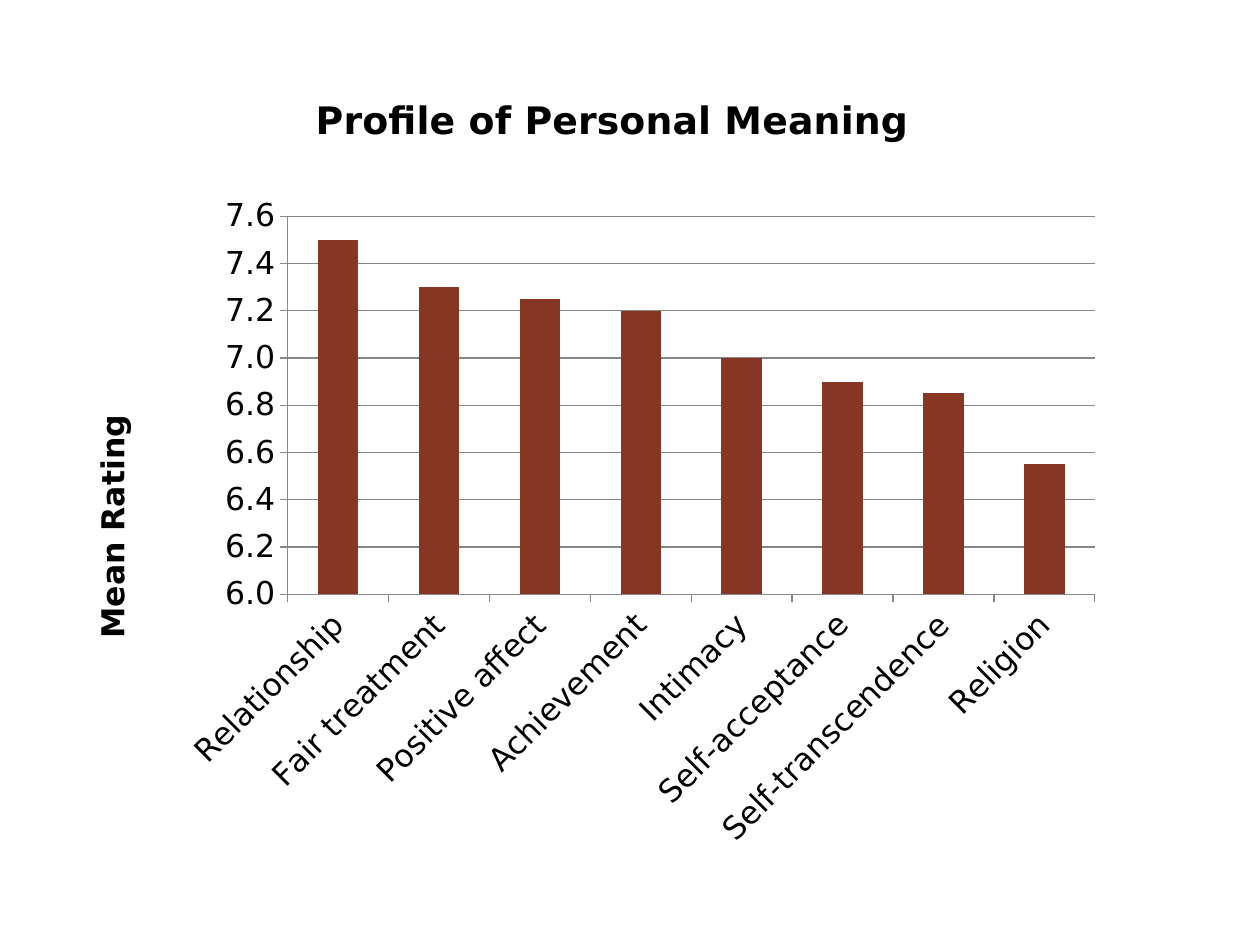
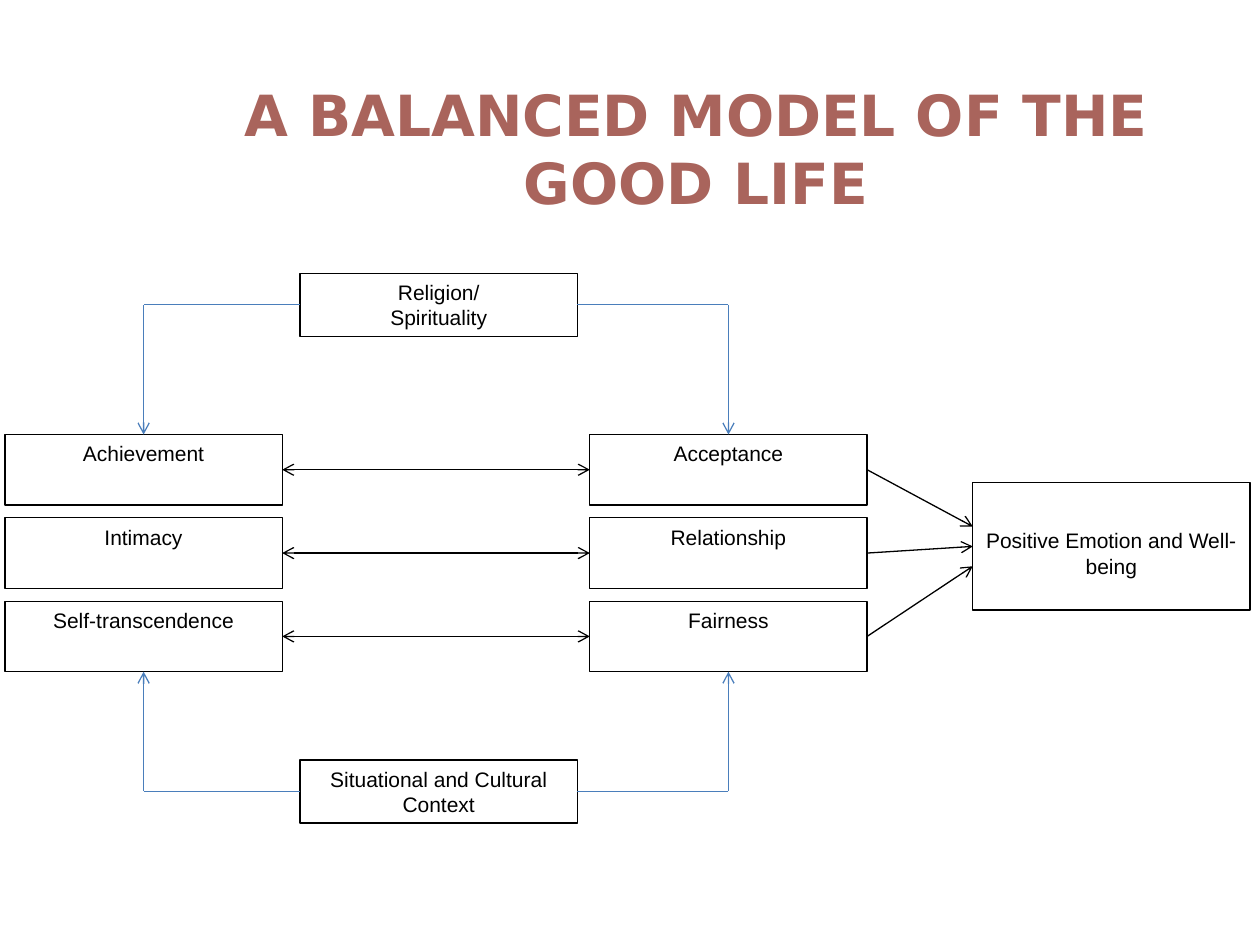
"""Build two slides: a chart of personal meaning and a model of the good life."""
from dataclasses import dataclass

from lxml.etree import SubElement
from pptx import Presentation
from pptx.chart.data import CategoryChartData
from pptx.dml.color import RGBColor as Rgb
from pptx.enum.chart import XL_CHART_TYPE as ChartType, XL_TICK_MARK as Tick
from pptx.enum.shapes import MSO_CONNECTOR as Connector, MSO_SHAPE as Shape
from pptx.enum.text import MSO_ANCHOR as Anchor, MSO_AUTO_SIZE as AutoSize, PP_ALIGN as Align
from pptx.oxml.ns import qn
from pptx.util import Cm, Pt


@dataclass(frozen=True)
class Theme:
    """Colours, typefaces and type sizes."""
    ink: Rgb = Rgb.from_string("000000")
    paper: Rgb = Rgb.from_string("FFFFFF")
    heading: Rgb = Rgb.from_string("A9645C")
    bar: Rgb = Rgb.from_string("873624")
    grid: Rgb = Rgb.from_string("878787")
    influence: Rgb = Rgb.from_string("4A7EBB")
    display_font: str = "DejaVu Sans"
    body_font: str = "Arial"
    heading_size: float = 32.4
    chart_title_size: float = 21.6
    chart_size: float = 18
    body_size: float = 12
    rule: float = 0.75


@dataclass(frozen=True)
class Box:
    """A rectangle in centimetres."""
    left: float
    top: float
    width: float
    height: float

    @property
    def right(self):
        """Return the right edge."""
        return self.left + self.width

    @property
    def bottom(self):
        """Return the bottom edge."""
        return self.top + self.height

    @property
    def center(self):
        """Return the horizontal centre."""
        return self.left + self.width / 2

    @property
    def middle(self):
        """Return the vertical centre."""
        return self.top + self.height / 2

    def lengths(self):
        """Return left, top, width and height as slide lengths."""
        return [Cm(n) for n in (self.left, self.top, self.width, self.height)]


class Deck:
    """Hold the style and the current slide."""

    def __init__(self, theme):
        """Start an empty presentation."""
        self.theme = theme
        self.presentation = Presentation()
        self.presentation.slide_width = Cm(25.4)
        self.presentation.slide_height = Cm(19.05)
        self.slide = None

    def add_slide(self, layout):
        """Add a slide with the named layout and make it current."""
        layouts = self.presentation.slide_layouts
        self.slide = self.presentation.slides.add_slide(layouts.get_by_name(layout))

    def style(self, font, size, color=None, name=None, bold=False):
        """Format a font."""
        font.name = name or self.theme.body_font
        font.size = Pt(size)
        font.bold = bold
        font.color.rgb = color or self.theme.ink

    def set_text(self, frame, text, *style, **options):
        """Fill a text frame with centred, styled text."""
        frame.text = text
        frame.word_wrap = True
        for paragraph in frame.paragraphs:
            paragraph.alignment = Align.CENTER
            for run in paragraph.runs:
                self.style(run.font, *style, **options)

    def title(self, text, box):
        """Place and format the slide title."""
        heading = self.slide.shapes.title
        heading.left, heading.top, heading.width, heading.height = box.lengths()
        frame = heading.text_frame
        self.set_text(frame, text, self.theme.heading_size, self.theme.heading,
                      self.theme.display_font, bold=True)
        frame.auto_size = AutoSize.NONE
        frame.vertical_anchor = Anchor.MIDDLE

    def concept(self, text, box, anchor=Anchor.MIDDLE, inset=0.13):
        """Draw an outlined box with a centred label."""
        panel = self.slide.shapes.add_shape(Shape.RECTANGLE, *box.lengths())
        panel.shadow.inherit = False
        panel.fill.solid()
        panel.fill.fore_color.rgb = self.theme.paper
        panel.line.color.rgb = self.theme.ink
        panel.line.width = Pt(self.theme.rule)
        frame = panel.text_frame
        self.set_text(frame, text, self.theme.body_size)
        frame.vertical_anchor = anchor
        frame.margin_top = Cm(inset)

    def line(self, start, end, color=None, ends=("tailEnd",)):
        """Draw a straight line with arrowheads at the given ends."""
        link = self.slide.shapes.add_connector(
            Connector.STRAIGHT, *(Cm(n) for n in (*start, *end)))
        link.line.color.rgb = color or self.theme.ink
        link.line.width = Pt(self.theme.rule)
        properties = link.element.spPr
        outline = properties.find(qn("a:ln"))
        for arrow in ends:
            SubElement(outline, qn(f"a:{arrow}"), type="arrow")
        SubElement(properties, qn("a:effectLst"))

    def elbow(self, start, end):
        """Draw a line sideways and then an arrow up or down."""
        corner = (end[0], start[1])
        self.line(start, corner, self.theme.influence, ends=())
        self.line(corner, end, self.theme.influence)

    def place(self, parent, index, **fractions):
        """Give a chart part a manual layout in fractions of the chart."""
        for old in parent.findall(qn("c:layout")):
            parent.remove(old)
        layout = parent.makeelement(qn("c:layout"))
        parent.insert(index, layout)
        manual = SubElement(layout, qn("c:manualLayout"))
        if "w" in fractions:
            SubElement(manual, qn("c:layoutTarget"), val="inner")
        for side in ("x", "y"):
            SubElement(manual, qn(f"c:{side}Mode"), val="edge")
        for name, value in fractions.items():
            SubElement(manual, qn(f"c:{name}"), val=str(value))

    def chart_title(self, frame, text, size):
        """Fill the title of a chart or an axis."""
        frame.text = text
        self.style(frame.paragraphs[0].runs[0].font, size,
                   name=self.theme.display_font, bold=True)

    def columns(self, title, axis_title, ratings, box):
        """Draw a column chart of mean ratings."""
        theme = self.theme
        data = CategoryChartData(number_format="General")
        data.categories = list(ratings)
        data.add_series("Series 1", list(ratings.values()))
        chart = self.slide.shapes.add_chart(
            ChartType.COLUMN_CLUSTERED, *box.lengths(), data).chart
        chart.has_legend = False
        self.style(chart.font, theme.chart_size, name=theme.display_font)
        plot = chart.plots[0]
        plot.gap_width = 150
        plot.vary_by_categories = False
        bars = plot.series[0].format.fill
        bars.solid()
        bars.fore_color.rgb = theme.bar

        scale, names = chart.value_axis, chart.category_axis
        scale.minimum_scale, scale.maximum_scale, scale.major_unit = 6, 7.6, 0.2
        scale.tick_labels.number_format = "#,##0.0"
        scale.tick_labels.number_format_is_linked = False
        for axis in (scale, names):
            axis.major_tick_mark = Tick.OUTSIDE
            self.style(axis.tick_labels.font, theme.chart_size, name=theme.display_font)
        for part in (scale, names, scale.major_gridlines):
            part.format.line.color.rgb = theme.grid
            part.format.line.width = Pt(theme.rule)

        self.chart_title(chart.chart_title.text_frame, title, theme.chart_title_size)
        self.chart_title(scale.axis_title.text_frame, axis_title, theme.chart_size)
        tree = chart.element
        for body, angle in ((".//c:catAx/c:txPr/a:bodyPr", -45),
                            (".//c:valAx/c:title//a:bodyPr", -90)):
            properties = tree.xpath(body)[0]
            properties.set("rot", str(angle * 60000))
            properties.set("vert", "horz")
        self.place(tree.xpath("c:chart/c:title")[0], 1, x=0.24, y=0.04)
        self.place(tree.xpath(".//c:valAx/c:title")[0], 1, x=0.03, y=0.44)
        self.place(tree.xpath(".//c:plotArea")[0], 0, x=0.22, y=0.2, w=0.76, h=0.47)


def build_profile(deck):
    """Build the chart slide."""
    deck.add_slide("Blank")
    ratings = {
        "Relationship": 7.5, "Fair treatment": 7.3, "Positive affect": 7.25,
        "Achievement": 7.2, "Intimacy": 7, "Self-acceptance": 6.9,
        "Self-transcendence": 6.85, "Religion": 6.55,
    }
    deck.columns("Profile of Personal Meaning", "Mean Rating", ratings,
                 Box(1.09, 1.12, 21.41, 16.21))


def build_model(deck):
    """Build the diagram slide."""
    deck.add_slide("Title Only")
    deck.title("A BALANCED MODEL OF THE\vGOOD LIFE", Box(2.67, 1.52, 22.73, 2.92))

    width = 5.59
    pairs = [("Achievement", "Acceptance"), ("Intimacy", "Relationship"),
             ("Self-transcendence", "Fairness")]
    rows = [[Box(left, 8.76 + 1.68 * row, width, 1.42) for left in (0.1, 11.89)]
            for row in range(len(pairs))]
    religion = Box(6.05, 5.51, width, 1.27)
    context = Box(6.05, 15.32, width, 1.27)
    outcome = Box(19.61, 9.73, width, 2.57)

    deck.concept("Religion/\nSpirituality", religion)
    deck.concept("Situational and Cultural Context", context)
    deck.concept("Positive Emotion and Well-being", outcome, inset=0.4)
    for row, (labels, (own, other)) in enumerate(zip(pairs, rows)):
        for label, box in zip(labels, (own, other)):
            deck.concept(label, box, Anchor.TOP)
        deck.line((own.right, own.middle), (other.left, other.middle),
                  ends=("headEnd", "tailEnd"))
        deck.line((other.right, other.middle),
                  (outcome.left, outcome.middle + 0.4 * (row - 1)))

    for top, bottom, side in zip(rows[0], rows[-1], (religion.left, religion.right)):
        deck.elbow((side, religion.middle), (top.center, top.top))
        deck.elbow((side, context.middle), (bottom.center, bottom.bottom))


def main():
    """Build and save both slides."""
    deck = Deck(Theme())
    build_profile(deck)
    build_model(deck)
    deck.presentation.save("out.pptx")


if __name__ == "__main__":
    main()
